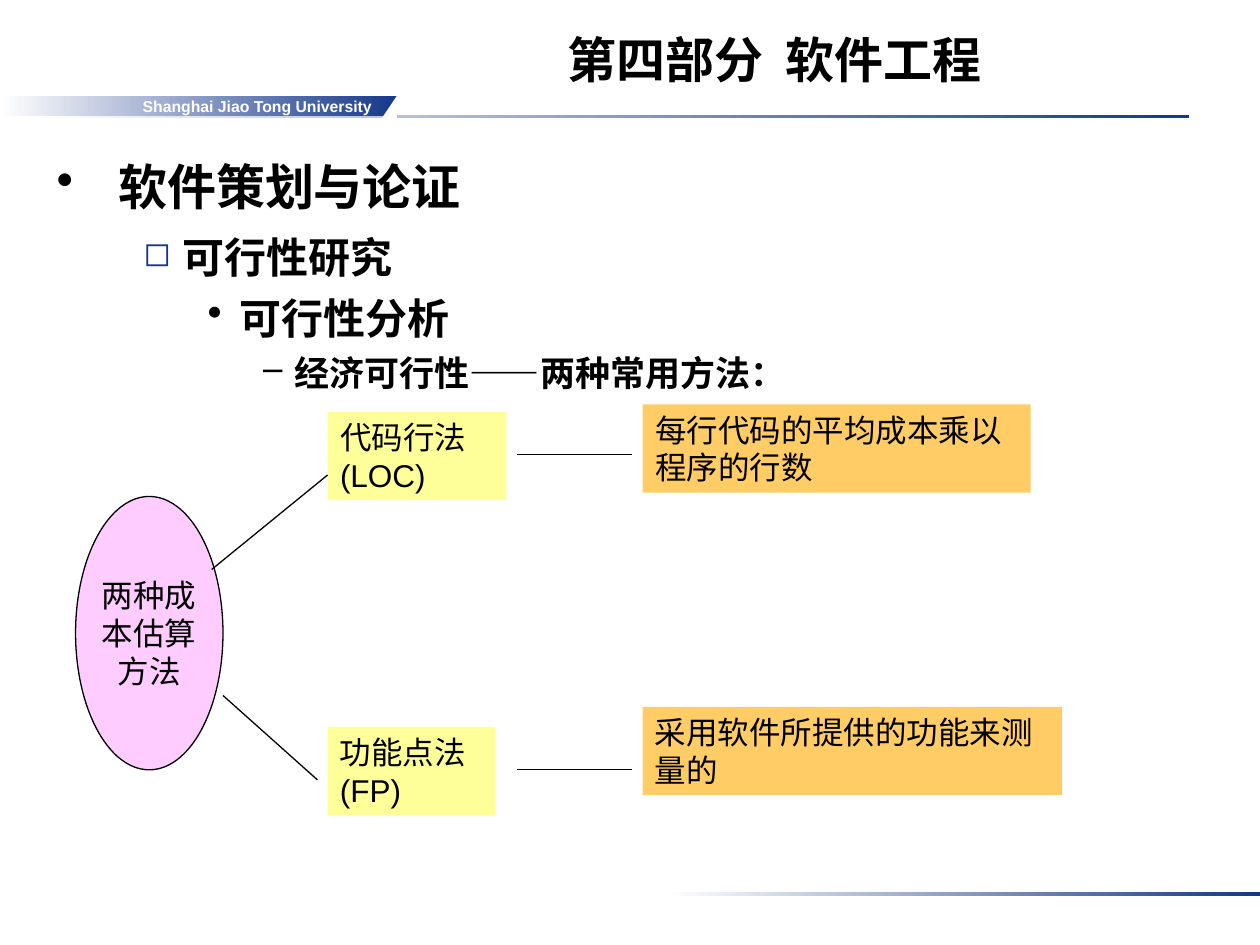
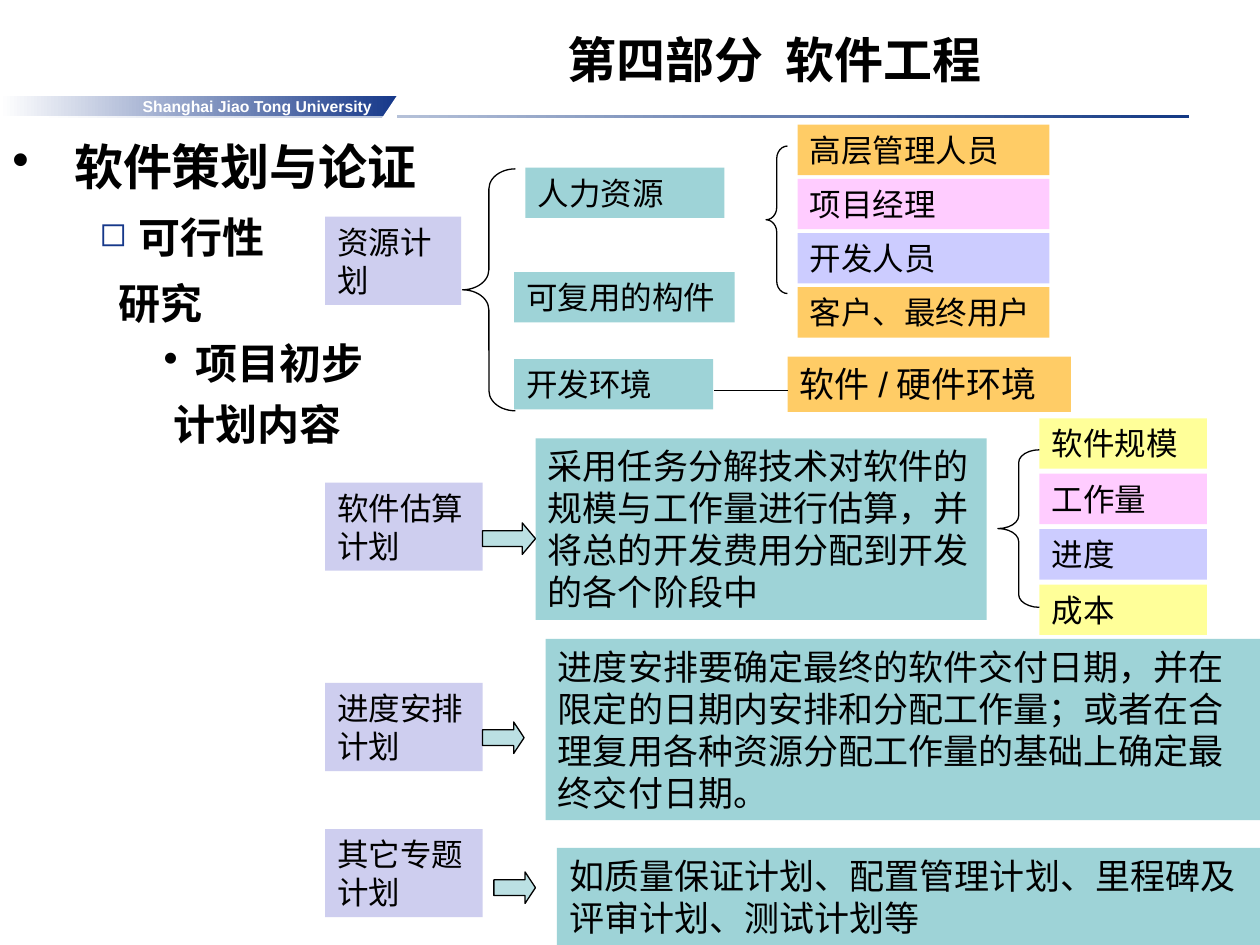
from lxml import etree
from pptx import Presentation
from pptx.dml.color import RGBColor
from pptx.enum import shapes, text
from pptx.oxml.ns import qn
from pptx.util import Inches, Pt

LATIN, HAN = "Arial", "Noto Sans CJK SC"
BLACK, WHITE, NAVY, RULE = "000000", "FFFFFF", "16388A", "133984"
YELLOW, PINK, ORANGE = "FFFF99", "FFCCFF", "FFCC66"
LILAC, VIOLET, TEAL, PALE = "CECEEF", "CCCCFF", "9ED3D7", "BBE0E3"
SHAPE = shapes.MSO_SHAPE
ALIGN = text.PP_ALIGN
ANCHOR = text.MSO_ANCHOR

# level: left, hanging, bullet, bullet colour, size, line spacing, space before, face
LEVELS = [
    (0.49, 0.49, "•", BLACK, 28, 1.1, 7, LATIN),
    (1.0, 0.31, "◻", NAVY, 24, 1.1, 6, HAN),
    (1.45, 0.25, "•", BLACK, 24, 1.0, 6, HAN),
    (1.89, 0.25, "–", BLACK, 20, 1.0, 5, HAN),
]


def rgb(code):
    """Turn a hex string into a colour."""
    return RGBColor.from_string(code)


def place(at):
    """Turn left, top, width and height into lengths."""
    return [Inches(n) for n in at]


def style(para, size, face=LATIN, color=BLACK, bold=False):
    """Set the font of a whole paragraph."""
    font = para.font
    font.size, font.bold, font.name = Pt(size), bold, face
    font.color.rgb = rgb(color)
    props = para._p.pPr.find(qn("a:defRPr"))
    etree.SubElement(props, qn("a:ea")).set("typeface", HAN)


def form(slide, kind, at, fill=None, line=None):
    """Add a preset shape without a shadow."""
    shape = slide.shapes.add_shape(kind, *place(at))
    shape.shadow.inherit = False
    if fill:
        shape.fill.solid()
        shape.fill.fore_color.rgb = rgb(fill)
    else:
        shape.fill.background()
    if line:
        shape.line.color.rgb = rgb(line)
        shape.line.width = Pt(0.75)
    else:
        shape.line.fill.background()
    return shape


def fade(slide, at, color):
    """Add a bar that runs from white to a colour."""
    bar = form(slide, SHAPE.RECTANGLE, at)
    bar.fill.gradient()
    bar.fill.gradient_angle = 0
    for stop, code in zip(bar.fill.gradient_stops, (WHITE, color)):
        stop.color.rgb = rgb(code)
    return bar


def box(slide, at, words, fill, size=18, face=HAN):
    """Add a filled box with left-aligned text and return its paragraph."""
    frame = form(slide, SHAPE.RECTANGLE, at, fill).text_frame
    frame.word_wrap = True
    frame.vertical_anchor = ANCHOR.TOP
    para = frame.paragraphs[0]
    para.text = words
    para.alignment = ALIGN.LEFT
    style(para, size, face)
    return para


def stack(slide, left, top, width, step, items, face=HAN):
    """Add a column of evenly spaced boxes."""
    for i, (words, fill) in enumerate(items):
        box(slide, (left, top + i * step, width, 0.4), words, fill, face=face)


def oval(slide, at, lines):
    """Add an outlined ellipse with centred lines."""
    frame = form(slide, SHAPE.OVAL, at, PINK, BLACK).text_frame
    frame.word_wrap = False
    frame.vertical_anchor = ANCHOR.MIDDLE
    frame.text = "\n".join(lines)
    for para in frame.paragraphs:
        para.alignment = ALIGN.CENTER
        style(para, 18)


def link(slide, *ends):
    """Add a thin straight line."""
    line = slide.shapes.add_connector(shapes.MSO_CONNECTOR.STRAIGHT, *place(ends))
    line.line.color.rgb = rgb(BLACK)
    line.line.width = Pt(0.75)
    etree.SubElement(line._element.spPr, qn("a:effectLst"))


def brace(slide, at, curve):
    """Add a left brace."""
    form(slide, SHAPE.LEFT_BRACE, at, line=BLACK).adjustments[0] = curve


def arrow(slide, left, top, width, head):
    """Add a block arrow pointing right."""
    shape = form(slide, SHAPE.RIGHT_ARROW, (left, top, width, 0.25), PALE, BLACK)
    shape.adjustments[1] = head


def bullet(para, left, hang, mark, color):
    """Set the indent and the bullet of a paragraph."""
    props = para._p.get_or_add_pPr()
    props.set("marL", str(Inches(left)))
    props.set("indent", str(-Inches(hang)))
    if not mark:
        etree.SubElement(props, qn("a:buNone"))
        return
    tint = etree.SubElement(props, qn("a:buClr"))
    etree.SubElement(tint, qn("a:srgbClr")).set("val", color)
    if mark == "◻":
        etree.SubElement(props, qn("a:buSzPct")).set("val", "80000")
    etree.SubElement(props, qn("a:buChar")).set("char", mark)


def outline(slide, left, top, items):
    """Add the outline; an item with its own indent has no bullet."""
    frame = slide.shapes.add_textbox(*place((left, top, 9.25, 5.7))).text_frame
    frame.word_wrap = True
    for i, (level, words, *own) in enumerate(items):
        para = frame.add_paragraph() if i else frame.paragraphs[0]
        para.text = words
        edge, hang, mark, color, size, lead, gap, face = LEVELS[level]
        if own:
            edge, hang, mark = own[0], 0, None
        para.line_spacing = lead
        if i:
            para.space_before = Pt(gap)
        bullet(para, edge, hang, mark, color)
        style(para, size, face, bold=True)


def base(deck):
    """Add a slide with the shared rules, band and title."""
    slide = deck.slides.add_slide(deck.slide_layouts[6])
    fade(slide, (0.31, 0.91, 9.13, 0.03), RULE)
    fade(slide, (5.28, 7.08, 4.72, 0.03), RULE)
    frame = fade(slide, (0, 0.76, 3.15, 0.16), NAVY).text_frame
    frame.word_wrap = False
    frame.margin_right = Inches(0.2)
    frame.vertical_anchor = ANCHOR.MIDDLE
    para = frame.paragraphs[0]
    para.text = "Shanghai Jiao Tong University"
    para.alignment = ALIGN.RIGHT
    style(para, 9, color=WHITE, bold=True)
    notch = form(slide, SHAPE.RIGHT_TRIANGLE, (3.03, 0.76, 0.12, 0.18), WHITE)
    notch._element.spPr.xfrm.set("flipH", "1")
    frame = slide.shapes.add_textbox(*place((2.59, 0, 7.11, 0.75))).text_frame
    frame.word_wrap = True
    frame.vertical_anchor = ANCHOR.BOTTOM
    para = frame.paragraphs[0]
    para.text = "第四部分  软件工程"
    para.alignment = ALIGN.CENTER
    style(para, 28, bold=True)
    return slide


def costs(deck):
    """Build the slide on the two cost estimates."""
    slide = base(deck)
    outline(slide, 0.35, 1.15, [
        (0, "软件策划与论证"), (1, "可行性研究"), (2, "可行性分析"),
        (3, "经济可行性——两种常用方法："),
    ])
    oval(slide, (0.6, 3.94, 1.17, 2.17), ["两种成", "本估算", "方法"])
    box(slide, (2.6, 3.27, 1.42, 0.7), "代码行法(LOC)", YELLOW, face=LATIN)
    box(slide, (2.6, 5.77, 1.33, 0.7), "功能点法(FP)", YELLOW, face=LATIN)
    box(slide, (5.1, 3.21, 3.08, 0.7), "每行代码的平均成本乘以程序的行数", ORANGE, face=LATIN)
    box(slide, (5.1, 5.61, 3.33, 0.7), "采用软件所提供的功能来测量的", ORANGE, face=LATIN)
    link(slide, 1.68, 4.52, 2.6, 3.77)
    link(slide, 1.77, 5.52, 2.52, 6.19)
    for y in (3.61, 6.11):
        link(slide, 4.1, y, 5.02, y)


def plans(deck):
    """Build the slide on the contents of the first plan."""
    slide = base(deck)
    outline(slide, 0, 0.99, [
        (0, "软件策划与论证"), (1, "可行性"), (1, "研究", 0.84),
        (2, "项目初步"), (2, "计划内容", 1.28),
    ])
    for top, width, words in [
        (1.72, 1.08, "资源计划"), (3.83, 1.25, "软件估算计划"),
        (5.42, 1.25, "进度安排计划"), (6.58, 1.25, "其它专题计划"),
    ]:
        box(slide, (2.58, top, width, 0.7), words, LILAC)
    for left, top, width, words in [
        (4.17, 1.33, 1.58, "人力资源"), (4.08, 2.16, 1.75, "可复用的构件"),
        (4.08, 2.85, 1.58, "开发环境"),
    ]:
        box(slide, (left, top, width, 0.4), words, TEAL)
    stack(slide, 6.33, 0.99, 2, 0.43, [
        ("高层管理人员", ORANGE), ("项目经理", PINK),
        ("开发人员", VIOLET), ("客户、最终用户", ORANGE),
    ])
    stack(slide, 8.25, 3.32, 1.33, 0.44, [
        ("软件规模", YELLOW), ("工作量", PINK), ("进度", VIOLET), ("成本", YELLOW),
    ], LATIN)
    para = box(slide, (6.25, 2.83, 2.25, 0.44), "软件", ORANGE, 20)
    for words, face in (("/", LATIN), ("硬件环境", HAN)):
        run = para.add_run()
        run.text, run.font.name = words, face
    link(slide, 5.67, 3.1, 6.25, 3.1)
    brace(slide, (6.08, 1.16, 0.17, 1.17), 0.58)
    brace(slide, (3.67, 1.34, 0.42, 1.92), 0.38)
    brace(slide, (7.92, 3.57, 0.33, 1.25), 0.31)
    for at, words in [
        ((4.25, 3.48, 3.58, 1.44),
         "采用任务分解技术对软件的规模与工作量进行估算，并将总的开发费用分配到开发的各个阶段中"),
        ((4.33, 5.07, 5.67, 1.44),
         "进度安排要确定最终的软件交付日期，并在限定的日期内安排和分配工作量；"
         "或者在合理复用各种资源分配工作量的基础上确定最终交付日期。"),
        ((4.42, 6.73, 5.58, 0.77),
         "如质量保证计划、配置管理计划、里程碑及评审计划、测试计划等"),
    ]:
        box(slide, at, words, TEAL, 20)
    arrow(slide, 3.83, 4.15, 0.42, 0.42)
    arrow(slide, 3.83, 5.73, 0.33, 0.33)
    arrow(slide, 3.92, 6.92, 0.33, 0.33)


def main():
    """Build and save the deck."""
    deck = Presentation()
    deck.slide_width, deck.slide_height = Inches(10), Inches(7.5)
    costs(deck)
    plans(deck)
    deck.save("out.pptx")


if __name__ == "__main__":
    main()
